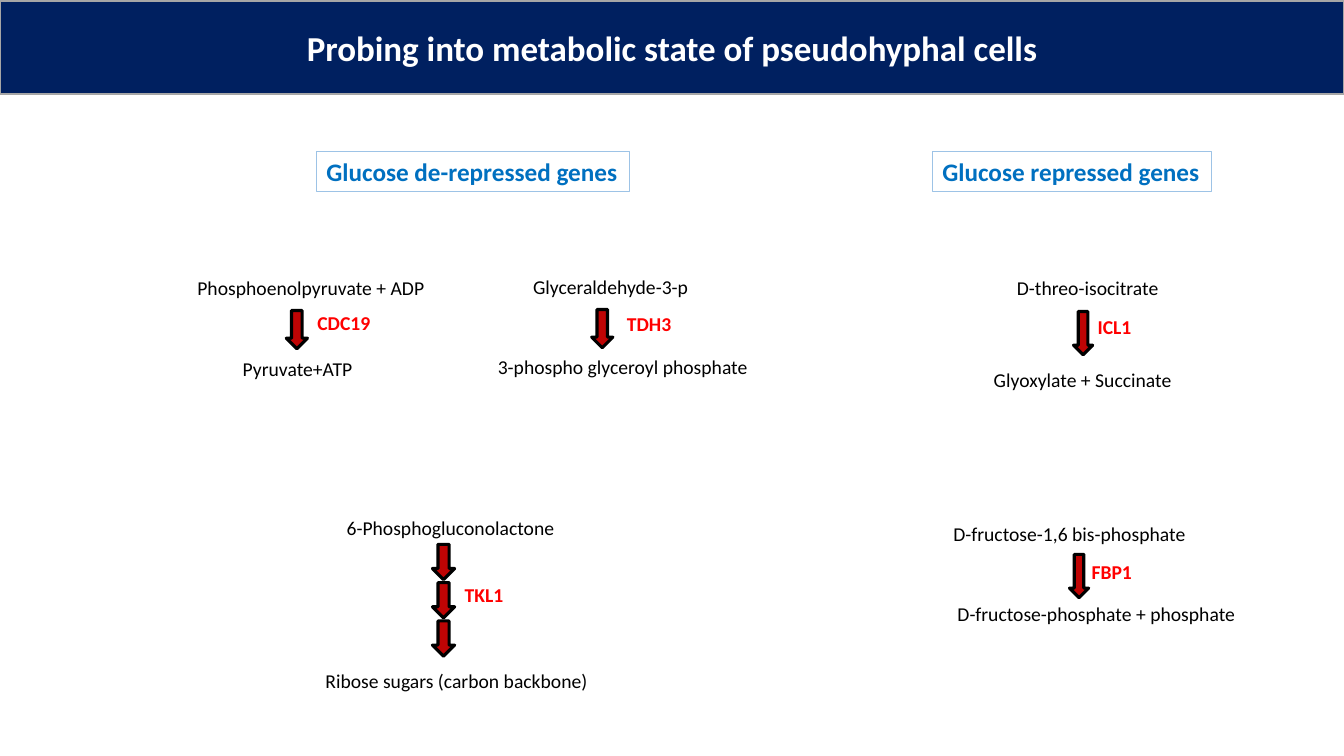
from pptx import Presentation
from pptx.dml.color import RGBColor
from pptx.enum.shapes import MSO_SHAPE
from pptx.enum.text import MSO_ANCHOR, PP_ALIGN
from pptx.util import Inches, Pt

RECT, DOWN_ARROW = MSO_SHAPE.RECTANGLE, MSO_SHAPE.DOWN_ARROW
TOP, MIDDLE = MSO_ANCHOR.TOP, MSO_ANCHOR.MIDDLE
LEFT, CENTER = PP_ALIGN.LEFT, PP_ALIGN.CENTER

TITLE = "Probing into metabolic state of pseudohyphal cells"
HEADINGS = [
    ("Glucose de-repressed genes", 31.4, 31.1),
    ("Glucose repressed genes", 92.5, 27.7),
]
PATHWAYS = [
    {"substrate": ("Phosphoenolpyruvate + ADP", 18.6, 26.9),
     "gene": ("CDC19", 30.5, 30.4),
     "product": ("Pyruvate+ATP", 23.1, 34.9),
     "arrows": (29.45, 30.8, 2.1, 3.8, 1)},
    {"substrate": ("Glyceraldehyde-3-p", 51.9, 26.8),
     "gene": ("TDH3", 61.2, 30.5),
     "product": ("3-phospho glyceroyl phosphate", 48.4, 34.7),
     "arrows": (59.75, 30.7, 2.1, 3.8, 1)},
    {"substrate": ("6-Phosphogluconolactone", 33.4, 50.7),
     "gene": ("TKL1", 45.1, 57.3),
     "product": ("Ribose sugars (carbon backbone)", 31.3, 65.9),
     "arrows": (44, 54, 2.2, 3.5, 3)},
    {"substrate": ("D-threo-isocitrate", 99.9, 26.9),
     "gene": ("ICL1", 107.9, 30.8),
     "product": ("Glyoxylate + Succinate", 97.6, 36),
     "arrows": (107.45, 30.9, 1.9, 4.3, 1)},
    {"substrate": ("D-fructose-1,6 bis-phosphate", 93.6, 51.3),
     "gene": ("FBP1", 107.3, 55.1),
     "product": ("D-fructose-phosphate + phosphate", 94, 59.2),
     "arrows": (107.05, 55, 1.9, 4.3, 1)},
]
COLORS = {"navy": "002060", "grey": "A6A6A6", "white": "FFFFFF", "black": "000000",
          "blue": "0070C0", "sky": "9DC3E6", "red": "FF0000", "crimson": "BF0404"}
COLS, ROWS = 133.33, 75
LABEL_W, LABEL_H = 32, 3.4
GENE_W = 9
ARROW_PITCH = 3.8

prs = Presentation()
prs.slide_width, prs.slide_height = Inches(13.33), Inches(7.5)
slide = prs.slides.add_slide(prs.slide_layouts[6])


def grid(x, y, w, h):
    col, row = prs.slide_width / COLS, prs.slide_height / ROWS
    return round(x * col), round(y * row), round(w * col), round(h * row)


def color(name):
    return RGBColor.from_string(COLORS[name])


def write(sp, text, size, ink, bold=False, align=LEFT, anchor=TOP, wrap=True):
    tf = sp.text_frame
    tf.word_wrap = wrap
    tf.vertical_anchor = anchor
    p = tf.paragraphs[0]
    p.alignment = align
    r = p.add_run()
    r.text = text
    r.font.name, r.font.size, r.font.bold = "Calibri", Pt(size), bold
    r.font.color.rgb = color(ink)


def add_shape(kind, box, fill, line, width):
    sp = slide.shapes.add_shape(kind, *grid(*box))
    sp.shadow.inherit = False
    if fill:
        sp.fill.solid()
        sp.fill.fore_color.rgb = color(fill)
    else:
        sp.fill.background()
    sp.line.color.rgb = color(line)
    sp.line.width = Pt(width)
    return sp


def add_label(text, x, y, w, ink="black", bold=False):
    sp = slide.shapes.add_textbox(*grid(x, y, w, LABEL_H))
    write(sp, text, 14, ink, bold)


def add_pathway(pathway):
    add_label(*pathway["substrate"], LABEL_W)
    axis, top, w, h, count = pathway["arrows"]
    for i in range(count):
        box = (axis - w / 2, top + i * ARROW_PITCH, w, h)
        add_shape(DOWN_ARROW, box, "crimson", "black", 2.25)
    add_label(*pathway["gene"], GENE_W, "red", True)
    add_label(*pathway["product"], LABEL_W)


for pathway in PATHWAYS:
    add_pathway(pathway)
for text, x, w in HEADINGS:
    sp = add_shape(RECT, (x, 15, w, 4), None, "sky", 0.75)
    write(sp, text, 18, "blue", True, wrap=False)
banner = add_shape(RECT, (0, 0.1, COLS, 9.2), "navy", "grey", 1.5)
write(banner, TITLE, 25, "white", True, CENTER, MIDDLE)

prs.save("out.pptx")
